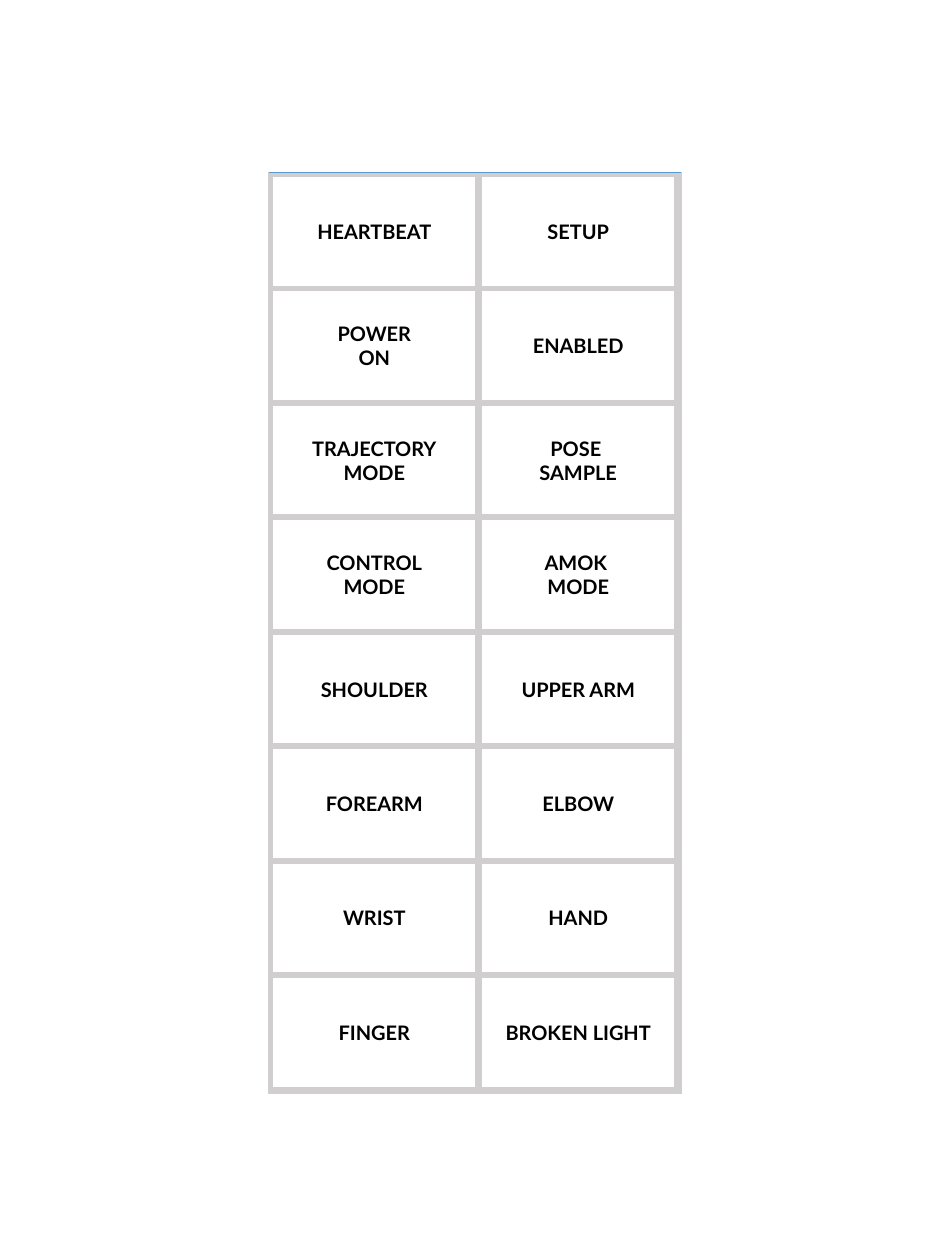
from dataclasses import dataclass

import pptx
import pptx.dml.color
import pptx.enum.shapes
import pptx.enum.text
import pptx.oxml.ns
import pptx.util
from lxml import etree

Inches = pptx.util.Inches
GREY = "D0CECE"
WHITE = "FFFFFF"


@dataclass
class Column:
    left: float
    width: float
    labels: list[str]


COLUMNS = [
    Column(3.03, 2.26, ["HEARTBEAT", "POWER\nON", "TRAJECTORY\nMODE", "CONTROL\nMODE",
                        "SHOULDER", "FOREARM", "WRIST", "FINGER"]),
    Column(5.35, 2.15, ["SETUP", "ENABLED", "POSE \nSAMPLE", "AMOK \nMODE",
                        "UPPER ARM", "ELBOW", "HAND", "BROKEN LIGHT"]),
]
PANEL_LEFT, PANEL_TOP, PANEL_WIDTH, PANEL_HEIGHT = 2.99, 1.92, 4.58, 10.23
FIRST_ROW, ROW_PITCH, CELL_HEIGHT = 1.96, 1.2715, 1.22


def rgb(value: str) -> pptx.dml.color.RGBColor:
    return pptx.dml.color.RGBColor.from_string(value)


def add_box(shapes, left: float, top: float, width: float, height: float, fill: str):
    sp = shapes.add_shape(pptx.enum.shapes.MSO_SHAPE.RECTANGLE,
                          Inches(left), Inches(top), Inches(width), Inches(height))
    sp.shadow.inherit = False
    sp.fill.solid()
    sp.fill.fore_color.rgb = rgb(fill)
    sp.line.color.rgb = rgb(GREY)
    sp.line.width = pptx.util.Pt(1)
    return sp


def write_text(sp, text: str, *, size: float = 16, font: str = "Lato",
               color: str = "000000", bold: bool = True) -> None:
    tf = sp.text_frame
    tf.word_wrap = True
    tf.vertical_anchor = pptx.enum.text.MSO_ANCHOR.MIDDLE
    tf.text = text
    for p in tf.paragraphs:
        p.alignment = pptx.enum.text.PP_ALIGN.CENTER
        for r in p.runs:
            r.font.size = pptx.util.Pt(size)
            r.font.name = font
            r.font.bold = bold
            r.font.color.rgb = rgb(color)


def add_rule(shapes, left: float, top: float, width: float, color: str) -> None:
    line = shapes.add_connector(pptx.enum.shapes.MSO_CONNECTOR.STRAIGHT,
                                Inches(left), Inches(top), Inches(left + width), Inches(top))
    line.line.color.rgb = rgb(color)
    line.line.width = pptx.util.Pt(0.5)
    etree.SubElement(line._element.spPr, pptx.oxml.ns.qn("a:effectLst"))


def add_column(shapes, column: Column) -> None:
    for row, label in enumerate(column.labels):
        sp = add_box(shapes, column.left, FIRST_ROW + row * ROW_PITCH,
                     column.width, CELL_HEIGHT, WHITE)
        write_text(sp, label)


prs = pptx.Presentation()
prs.slide_width, prs.slide_height = Inches(10.5), Inches(14)
s = prs.slides.add_slide(prs.slide_layouts[6])
add_box(s.shapes, PANEL_LEFT, PANEL_TOP, PANEL_WIDTH, PANEL_HEIGHT, GREY)
label_grid = s.shapes.add_group_shape()
for column in COLUMNS:
    add_column(label_grid.shapes, column)
add_rule(s.shapes, PANEL_LEFT, PANEL_TOP, PANEL_WIDTH, "5B9BD5")
prs.save("out.pptx")
